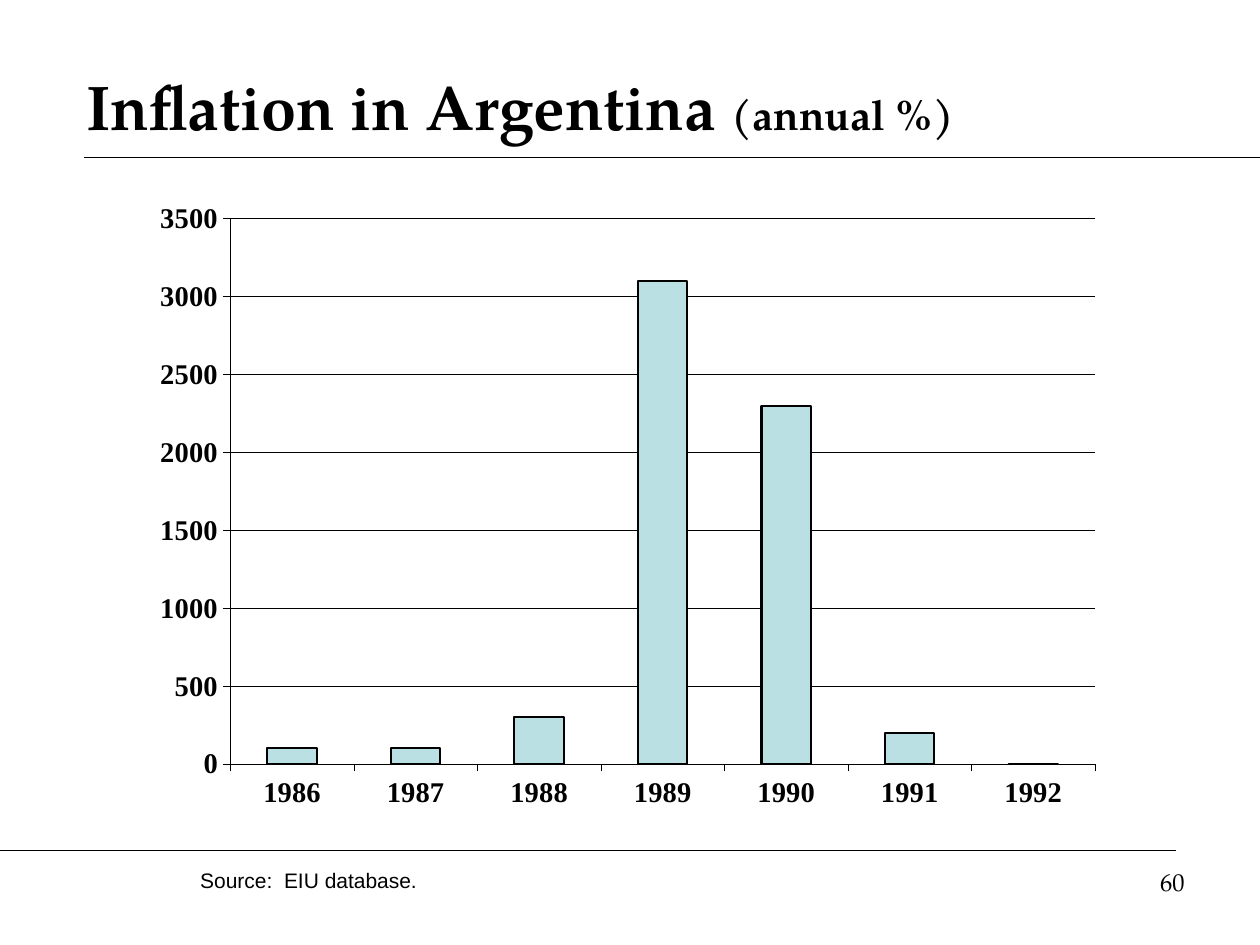
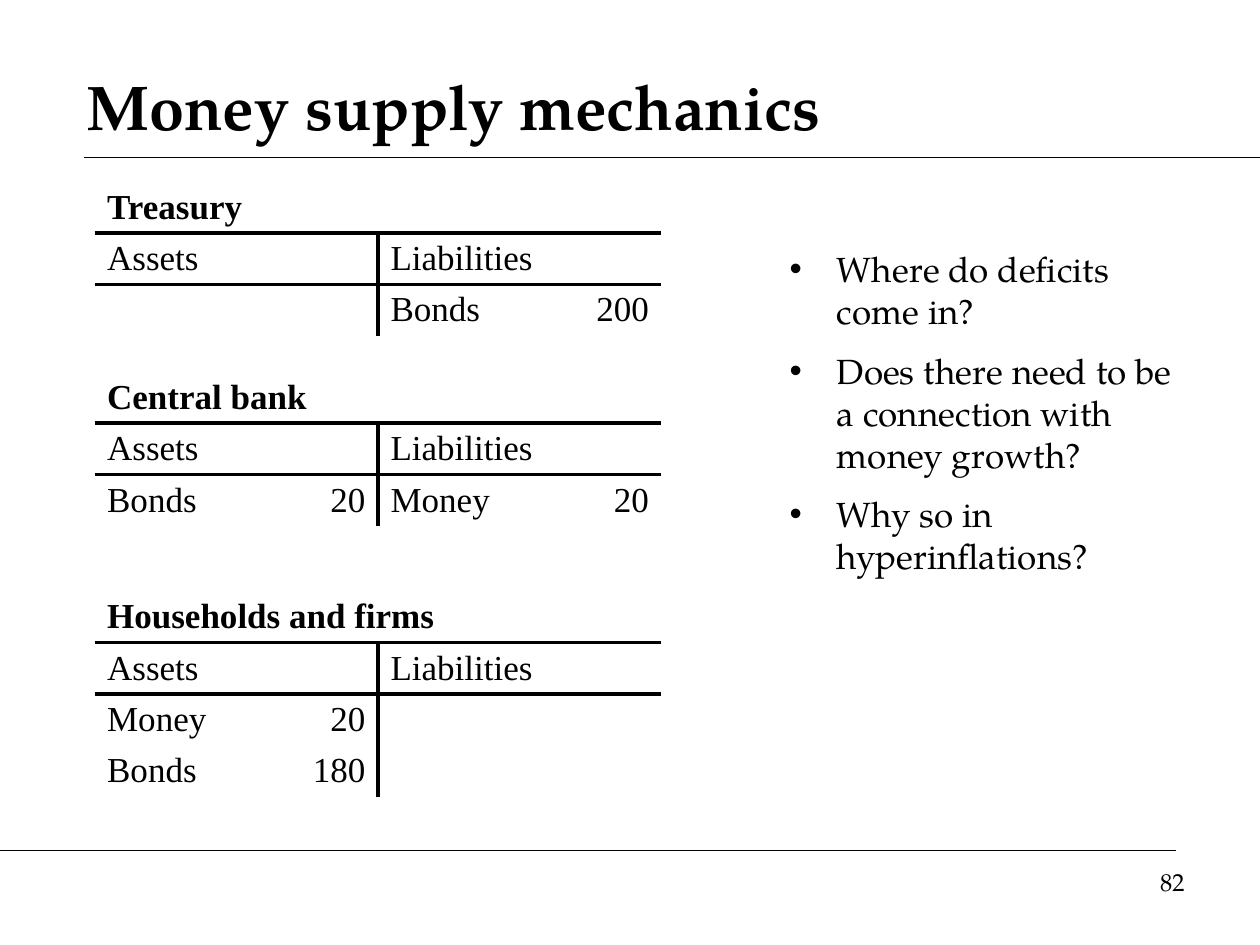
"""Build two slides on inflation and money supply."""
from lxml import etree
from pptx import Presentation
from pptx import util as u
from pptx.chart import data as chart_data
from pptx.dml import color
from pptx.enum import chart as charts, shapes, text
from pptx.oxml import ns

COLOURS = {"ink": "000000", "bar": "BBE0E3"}
SERIF, TABLE_FONT, SOURCE_FONT = "TeX Gyre Pagella", "Times New Roman", "Arial"

TITLE = {"name": SERIF, "size": u.Pt(36), "bold": True}
TITLE_NOTE = {**TITLE, "size": u.Pt(24)}
BODY = {"name": SERIF, "size": u.Pt(20)}
NUMBER = {"name": SERIF, "size": u.Pt(14)}
SOURCE = {"name": SOURCE_FONT, "size": u.Pt(12)}
CELL = {"name": TABLE_FONT, "size": u.Pt(20), "bold": False}
HEADING = {**CELL, "bold": True}
AXIS = {"name": TABLE_FONT, "size": u.Pt(16.3), "bold": True}

RULES = [(48, 720, 90), (0, 672, 486), (90, 720, 90), (0, 510, 486)]

INFLATION = {"1986": 100, "1987": 100, "1988": 300, "1989": 3100,
             "1990": 2300, "1991": 200, "1992": 0}
PLOT_AREA = {"x": 0.09, "y": 0.037, "w": 0.896, "h": 0.854}

COLUMN_WIDTHS = (106.5, 55.5, 81, 81)
ROW_HEIGHT = 29.4
CELL_FRAME = {"vertical_anchor": text.MSO_ANCHOR.MIDDLE,
              "margin_top": u.Pt(2), "margin_bottom": u.Pt(2)}
ACCOUNTS = [
    (103.7, "Treasury", [("", "", "Bonds", "200")]),
    (212.4, "Central bank", [("Bonds", "20", "Money", "20")]),
    (337.7, "Households and firms",
     [("Money", "20", "", ""), ("Bonds", "180", "", "")]),
]
QUESTIONS = ["Where do deficits come in?",
             "Does there need to be a connection with money growth?",
             "Why so in hyperinflations?"]


def rgb(name):
    """Return a named colour."""
    return color.RGBColor.from_string(COLOURS[name])


def apply(target, values):
    """Set each attribute of a target from a dict."""
    for name, value in values.items():
        setattr(target, name, value)


def style_font(font, values):
    """Format a font in the ink colour."""
    apply(font, values)
    font.color.rgb = rgb("ink")


def style_line(line, width):
    """Give a line the ink colour and a width in points."""
    line.color.rgb = rgb("ink")
    line.width = u.Pt(width)


def add_run(paragraph, words, values):
    """Append a formatted run."""
    run = paragraph.add_run()
    run.text = words
    style_font(run.font, values)


def add_text(slide, box, paragraphs, **frame_values):
    """Add a text box of paragraphs, each a list of (words, format) runs."""
    frame = slide.shapes.add_textbox(*map(u.Pt, box)).text_frame
    apply(frame, {"word_wrap": True, **frame_values})
    for index, runs in enumerate(paragraphs):
        paragraph = frame.add_paragraph() if index else frame.paragraphs[0]
        for words, values in runs:
            add_run(paragraph, words, values)
    return frame


def add_rule(slide, left, right, top):
    """Draw a thin horizontal rule."""
    rule = slide.shapes.add_connector(
        shapes.MSO_CONNECTOR.STRAIGHT, *map(u.Pt, (left, top, right, top)))
    style_line(rule.line, 0.75)
    etree.SubElement(rule._element.spPr, ns.qn("a:effectLst"))


def add_page(presentation, title_runs, number):
    """Add a slide with its title, rules and number."""
    slide = presentation.slides.add_slide(presentation.slide_layouts[6])
    for rule in RULES:
        add_rule(slide, *rule)
    add_text(slide, (42.3, 30, 624, 60), [title_runs],
             vertical_anchor=text.MSO_ANCHOR.MIDDLE)
    frame = add_text(slide, (516, 492, 168, 37.5), [[(number, NUMBER)]])
    frame.paragraphs[0].alignment = text.PP_ALIGN.RIGHT
    return slide


def place_plot(chart):
    """Fix the inner plot area as fractions of the chart."""
    plot_area = chart._chartSpace.chart.plotArea
    for old in plot_area.findall(ns.qn("c:layout")):
        plot_area.remove(old)
    layout = etree.Element(ns.qn("c:layout"))
    plot_area.insert(0, layout)
    manual = etree.SubElement(layout, ns.qn("c:manualLayout"))
    settings = {"layoutTarget": "inner", "xMode": "edge", "yMode": "edge",
                **PLOT_AREA}
    for name, value in settings.items():
        etree.SubElement(manual, ns.qn(f"c:{name}"), val=str(value))


def add_column_chart(slide, box, values):
    """Add a clustered column chart of one series."""
    data = chart_data.CategoryChartData(number_format="0")
    data.categories = list(values)
    data.add_series("Series 1", list(values.values()))
    chart = slide.shapes.add_chart(
        charts.XL_CHART_TYPE.COLUMN_CLUSTERED, *map(u.Pt, box), data).chart
    apply(chart, {"has_legend": False, "has_title": False})
    style_font(chart.font, AXIS)
    plot = chart.plots[0]
    apply(plot, {"gap_width": 150, "vary_by_categories": False})
    bars = plot.series[0].format
    bars.fill.solid()
    bars.fill.fore_color.rgb = rgb("bar")
    style_line(bars.line, 1.17)
    for axis in (chart.category_axis, chart.value_axis):
        axis.major_tick_mark = charts.XL_TICK_MARK.OUTSIDE
        style_font(axis.tick_labels.font, AXIS)
        style_line(axis.format.line, 0.29)
    apply(chart.value_axis, {"minimum_scale": 0, "maximum_scale": 3500,
                             "major_unit": 500, "has_major_gridlines": True})
    style_line(chart.value_axis.major_gridlines.format.line, 0.29)
    place_plot(chart)


def set_borders(cell, drawn):
    """Draw the given sides of a cell and clear the others."""
    properties = cell._tc.get_or_add_tcPr()
    for side in "LRTB":
        line = etree.SubElement(properties, ns.qn(f"a:ln{side}"),
                                w=str(u.Pt(2.25)))
        if side in drawn:
            fill = etree.SubElement(line, ns.qn("a:solidFill"))
            etree.SubElement(fill, ns.qn("a:srgbClr"), val=COLOURS["ink"])
        else:
            etree.SubElement(line, ns.qn("a:noFill"))


def account_borders(row, column):
    """Return the sides that make up the T of an account."""
    sides = "B" if row < 2 else ""
    if row in (1, 2):
        sides += "T"
    if row:
        sides += {1: "R", 2: "L"}.get(column, "")
    return sides


def add_account(slide, top, name, entries):
    """Add a balance sheet with assets left and liabilities right."""
    rows = [(name, "", "", ""), ("Assets", "", "Liabilities", ""), *entries]
    table = slide.shapes.add_table(
        len(rows), len(COLUMN_WIDTHS), u.Pt(54), u.Pt(top),
        u.Pt(sum(COLUMN_WIDTHS)), u.Pt(ROW_HEIGHT * len(rows))).table
    apply(table, {"first_row": False, "horz_banding": False})
    for column, width in zip(table.columns, COLUMN_WIDTHS):
        column.width = u.Pt(width)
    for row_index, row in enumerate(rows):
        table.rows[row_index].height = u.Pt(ROW_HEIGHT)
        for column_index, words in enumerate(row):
            cell = table.cell(row_index, column_index)
            set_borders(cell, account_borders(row_index, column_index))
            cell.fill.background()
            apply(cell, CELL_FRAME)
            if words:
                paragraph = cell.text_frame.paragraphs[0]
                add_run(paragraph, words, CELL if row_index else HEADING)
                if column_index % 2:
                    paragraph.alignment = text.PP_ALIGN.RIGHT
    for row, first, last in ((0, 0, 3), (1, 0, 1), (1, 2, 3)):
        table.cell(row, first).merge(table.cell(row, last))


def add_bullets(slide, box, items):
    """Add a bulleted list."""
    frame = add_text(slide, box, [[(item, BODY)] for item in items])
    for index, paragraph in enumerate(frame.paragraphs):
        paragraph.space_before = u.Pt(10 if index else 0)
        properties = paragraph._p.get_or_add_pPr()
        properties.set("marL", str(u.Pt(27)))
        properties.set("indent", str(u.Pt(-27)))
        etree.SubElement(properties, ns.qn("a:buFont"), typeface=SOURCE_FONT)
        etree.SubElement(properties, ns.qn("a:buChar"), char="•")


def main():
    """Build and save the presentation."""
    presentation = Presentation()
    apply(presentation, {"slide_width": u.Pt(720), "slide_height": u.Pt(540)})

    inflation = add_page(presentation, [("Inflation in Argentina ", TITLE),
                                        ("(annual %)", TITLE_NOTE)], "60")
    add_column_chart(inflation, (82, 111.5, 551.5, 365), INFLATION)
    add_text(inflation, (107.3, 492, 492, 21.6),
             [[("Source:  EIU database.", SOURCE)]])

    mechanics = add_page(presentation, [("Money supply mechanics", TITLE)], "82")
    for account in ACCOUNTS:
        add_account(mechanics, *account)
    add_bullets(mechanics, (444.2, 138, 246, 330), QUESTIONS)

    presentation.save("out.pptx")


if __name__ == "__main__":
    main()
